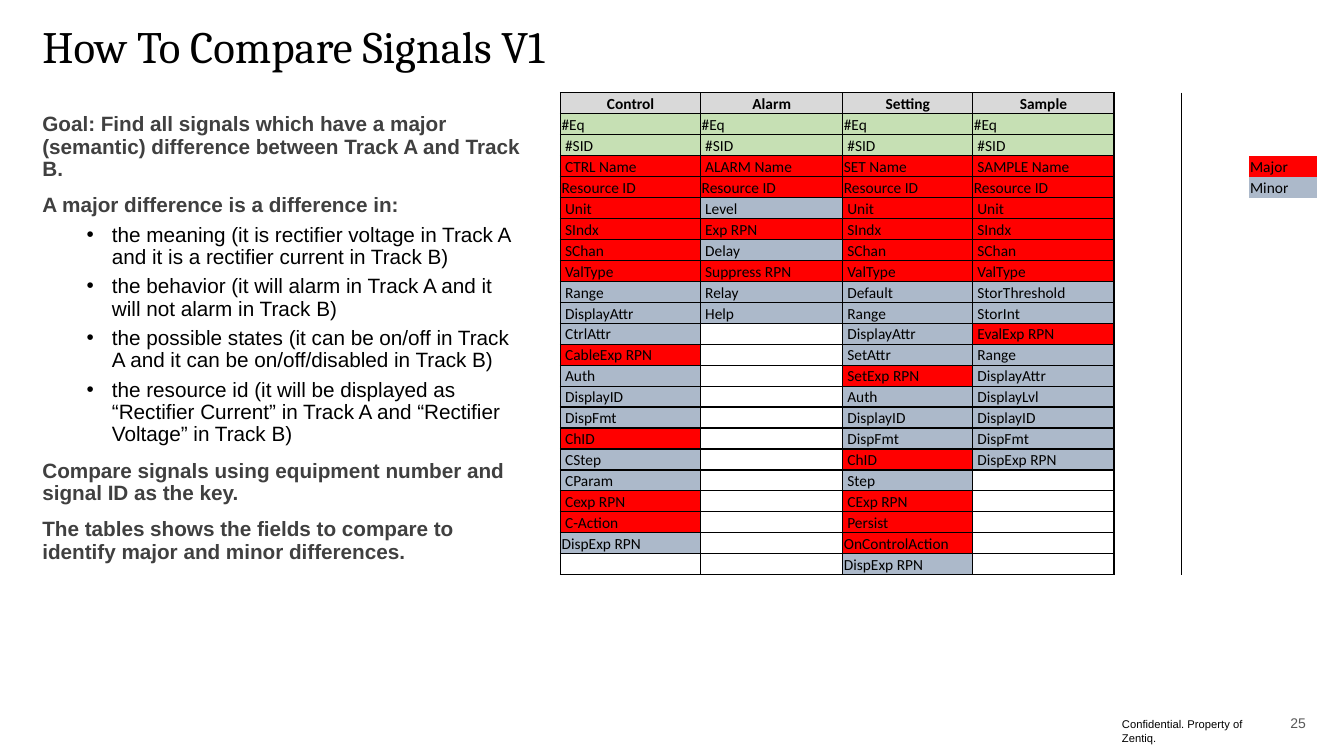
"""Build the slide that lists which signal fields to compare."""
from dataclasses import dataclass
from lxml import etree
from pptx import Presentation
from pptx import util as u
from pptx.dml.color import RGBColor
from pptx.enum import text as t
from pptx.oxml import ns


@dataclass
class Theme:
    ink: str = "000000"
    soft: str = "404040"
    pale: str = "595959"
    head: str = "D9D9D9"
    key: str = "C6E0B4"
    major: str = "FF0000"
    minor: str = "ACB9CA"
    serif: str = "Cambria"
    sans: str = "Arial"
    grid: str = "Calibri"
    title: float = 32
    body: float = 14.8
    cell: float = 11
    foot: float = 8
    page: float = 10


def write(par, words, face, size, tone, bold=False):
    run = par.add_run()
    run.text = words
    run.font.name, run.font.size, run.font.bold = face, u.Pt(size), bold
    run.font.color.rgb = RGBColor.from_string(tone)


def add(node, tag, **attrs):
    return etree.SubElement(node, ns.qn(tag), attrs)


look = Theme()
deck = Presentation()
deck.slide_width, deck.slide_height = u.Inches(13.33), u.Inches(7.5)
slide = deck.slides.add_slide(deck.slide_layouts[1])
title, body = slide.placeholders

spots = [(title, 0.42, 0.18, 12.5, 0.61), (body, 0.42, 1.13, 4.76, 4.59)]
for shape, *box in spots:
    shape.left, shape.top, shape.width, shape.height = map(u.Inches, box)
    frame = shape.text_frame
    frame.margin_left = frame.margin_right = frame.margin_top = frame.margin_bottom = 0
    frame.word_wrap = True
    frame.auto_size = t.MSO_AUTO_SIZE.NONE
title.text_frame.vertical_anchor = t.MSO_ANCHOR.MIDDLE
body.text_frame.vertical_anchor = t.MSO_ANCHOR.TOP
par = title.text_frame.paragraphs[0]
par.alignment = t.PP_ALIGN.LEFT
par.line_spacing = 0.9
write(par, "How To Compare Signals V1", look.serif, look.title, look.ink)

lines = [
    (0, "Goal: Find all signals which have a major (semantic) difference between Track A and Track B."),
    (0, "A major difference is a difference in:"),
    (1, "the meaning (it is rectifier voltage in Track A and it is a rectifier current in Track B)"),
    (1, "the behavior (it will alarm in Track A and it will not alarm in Track B)"),
    (1, "the possible states (it can be on/off in Track A and it can be on/off/disabled in Track B)"),
    (1, "the resource id (it will be displayed as “Rectifier Current” in Track A and “Rectifier Voltage” in Track B)"),
    (0, "Compare signals using equipment number and signal ID as the key."),
    (0, "The tables shows the fields to compare to identify major and minor differences."),
]
for i, (level, words) in enumerate(lines):
    par = body.text_frame.add_paragraph() if i else body.text_frame.paragraphs[0]
    par.level = level
    par.line_spacing = 0.9
    par.space_before = u.Pt(5 if level else 10)
    par.space_after = u.Pt(0)
    props = par._p.get_or_add_pPr()
    props.set("marL", str(u.Inches(0.69 * level)))
    props.set("indent", str(u.Inches(-0.25 * level)))
    if level:
        add(props, "a:buFont", typeface=look.sans)
        add(props, "a:buChar", char="•")
    else:
        add(props, "a:buNone")
    write(par, words, look.sans, look.body, look.ink if level else look.soft, not level)

fields = {
    "Control": "#Eq| #SID|! CTRL Name|!Resource ID|! Unit|! SIndx|! SChan|! ValType"
               "| Range| DisplayAttr| CtrlAttr|! CableExp RPN| Auth| DisplayID| DispFmt"
               "|! ChID| CStep| CParam|! Cexp RPN|! C-Action|DispExp RPN",
    "Alarm": "#Eq| #SID|! ALARM Name|!Resource ID| Level|! Exp RPN| Delay"
             "|! Suppress RPN| Relay| Help",
    "Setting": "#Eq| #SID|!SET Name|!Resource ID|! Unit|! SIndx|! SChan|! ValType"
               "| Default| Range| DisplayAttr| SetAttr|! SetExp RPN| Auth| DisplayID"
               "| DispFmt|! ChID| Step|! CExp RPN|! Persist|!OnControlAction|DispExp RPN",
    "Sample": "#Eq| #SID|! SAMPLE Name|!Resource ID|! Unit|! SIndx|! SChan|! ValType"
              "| StorThreshold| StorInt|! EvalExp RPN| Range| DisplayAttr| DisplayLvl"
              "| DisplayID| DispFmt| DispExp RPN",
}
cells = {(3, 6): ("Major", look.major), (4, 6): ("Minor", look.minor)}
for c, (name, items) in enumerate(fields.items()):
    cells[0, c] = (name, look.head)
    for r, item in enumerate(items.split("|"), 1):
        tone = look.key if r < 3 else look.major if item[0] == "!" else look.minor
        cells[r, c] = (item.lstrip("!"), tone)

wide = [1.39, 1.41, 1.29, 1.4, 0.67, 0.67, 0.67]
rows, high = 23, 4.79 / 23
table = slide.shapes.add_table(rows, len(wide), u.Inches(5.56), u.Inches(0.92),
                               u.Inches(sum(wide)), u.Inches(4.79)).table
table.first_row = table.horz_banding = False
table._tbl.tblPr.find(ns.qn("a:tableStyleId")).text = "{2D5ABB26-0587-4C30-8999-92F81FD0307C}"
for col, size in zip(table.columns, wide):
    col.width = u.Inches(size)
for r, row in enumerate(table.rows):
    row.height = u.Inches(high)
    for c, cell in enumerate(row.cells):
        cell.margin_left = cell.margin_right = cell.margin_top = u.Inches(0.01)
        cell.margin_bottom = 0
        cell.vertical_anchor = t.MSO_ANCHOR.BOTTOM
        props = cell._tc.get_or_add_tcPr()
        sides = ("a:lnL", "a:lnR", "a:lnT", "a:lnB") if c < 4 else ("a:lnL",) if c == 4 else ()
        for side in sides:
            edge = add(props, side, w=str(u.Pt(1)))
            add(add(edge, "a:solidFill"), "a:srgbClr", val=look.ink)
        par = cell.text_frame.paragraphs[0]
        if (r, c) in cells:
            words, tone = cells[r, c]
            cell.fill.solid()
            cell.fill.fore_color.rgb = RGBColor.from_string(tone)
            par.alignment = t.PP_ALIGN.LEFT if r else t.PP_ALIGN.CENTER
            write(par, words, look.grid, look.cell, look.ink, r == 0)
        else:
            cell.fill.background()
            add(par._p, "a:endParaRPr", sz=str(look.cell * 100))

notes = [
    ((11.03, 7.07, 1.76, 0.24), "Confidential. Property of Zentiq.", look.foot, look.ink, False),
    ((12.5, 7.06, 0.55, 0.22), "25", look.page, look.pale, True),
]
for box, words, size, tone, last in notes:
    frame = slide.shapes.add_textbox(*map(u.Inches, box)).text_frame
    frame.word_wrap = last
    par = frame.paragraphs[0]
    if last:
        frame.vertical_anchor = t.MSO_ANCHOR.MIDDLE
        par.alignment = t.PP_ALIGN.RIGHT
    write(par, words, look.sans, size, tone)

deck.save("out.pptx")
